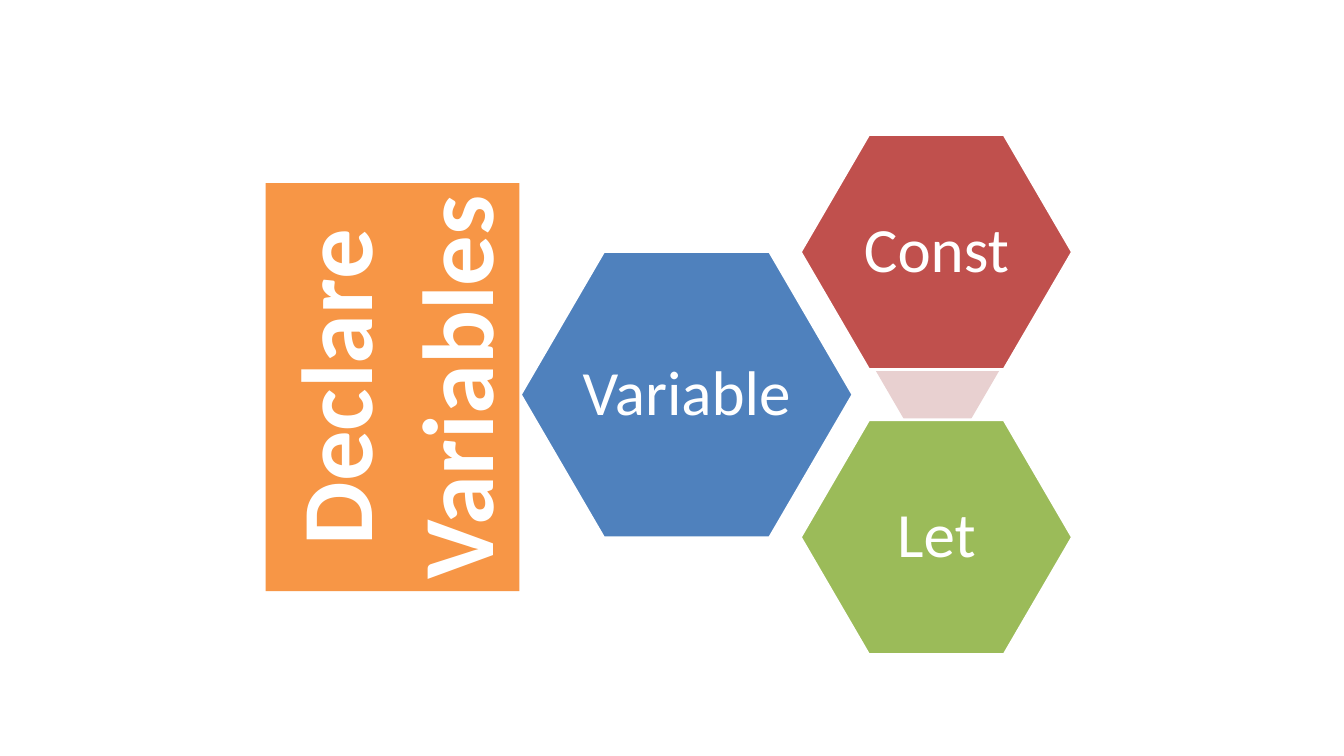
import pptx
import pptx.dml.color
import pptx.enum.shapes
import pptx.enum.text
import pptx.util

Pt = pptx.util.Pt
Kind = pptx.enum.shapes.MSO_SHAPE
Text = pptx.enum.text


class Theme:
    font = "Calibri"
    white, blue, red = "FFFFFF", "4F81BD", "C0504D"
    green, orange, pale = "9BBB59", "F79646", "E8D0D0"
    label, title = 45, 72
    edge = 2


def color(code):
    return pptx.dml.color.RGBColor.from_string(code)


def assign(target, values):
    for name, value in values.items():
        setattr(target, name, value)


class Board:
    def __init__(self, theme, slide):
        self.theme, self.slide = theme, slide

    def shape(self, kind, box, fill):
        item = self.slide.shapes.add_shape(kind, *map(Pt, box))
        item.shadow.inherit = False
        item.fill.solid()
        item.fill.fore_color.rgb = color(fill)
        item.line.fill.background()
        return item

    def letter(self, item, lines, size, inset, bold=False, **style):
        """Centre one paragraph per line in the shape."""
        frame = item.text_frame
        margins = {f"margin_{side}": Pt(gap) for side, gap in inset.items()}
        assign(frame, {"word_wrap": False,
                       "vertical_anchor": Text.MSO_ANCHOR.MIDDLE,
                       **margins})
        for i, line in enumerate(lines):
            par = frame.add_paragraph() if i else frame.paragraphs[0]
            assign(par, {"alignment": Text.PP_ALIGN.CENTER, **style})
            run = par.add_run()
            run.text = line
            assign(run.font, {"name": self.theme.font, "size": Pt(size),
                              "bold": bold})
            run.font.color.rgb = color(self.theme.white)

    def hexagon(self, box, fill, label=None):
        item = self.shape(Kind.HEXAGON, box, fill)
        item.adjustments[0] = 0.29
        item.adjustments[1] = 1.15
        if label:
            item.line.color.rgb = color(self.theme.white)
            item.line.width = Pt(self.theme.edge)
            inset = dict.fromkeys(("left", "right", "top", "bottom"), 4.5)
            self.letter(item, [label], self.theme.label, inset,
                        line_spacing=0.9)

    def banner(self, box, fill, lines):
        """Draw a block whose text reads upwards."""
        item = self.shape(Kind.RECTANGLE, box, fill)
        item.rotation = 270
        inset = {"left": 7.2, "right": 7.2, "top": 3.6, "bottom": 3.6}
        self.letter(item, lines, self.theme.title, inset, bold=True)
        item.text_frame.auto_size = Text.MSO_AUTO_SIZE.SHAPE_TO_FIT_TEXT


def main():
    deck = pptx.Presentation()
    assign(deck, {"slide_width": Pt(960), "slide_height": Pt(540)})
    theme = Theme()
    board = Board(theme, deck.slides.add_slide(deck.slide_layouts[6]))

    board.hexagon((371.7, 179.3, 237.6, 205.2), theme.blue, "Variable")
    board.hexagon((625, 225.4, 89.3, 77), theme.pale)
    kinds = [("Const", theme.red), ("Let", theme.green)]
    for row, (label, fill) in enumerate(kinds):
        top = 95.8 + row * 203.7
        board.hexagon((571.7, top, 194.4, 168.5), fill, label)
    board.banner((134.6, 185.8, 291.6, 181.4), theme.orange,
                 ["Declare", "Variables"])
    deck.save("out.pptx")


if __name__ == "__main__":
    main()
